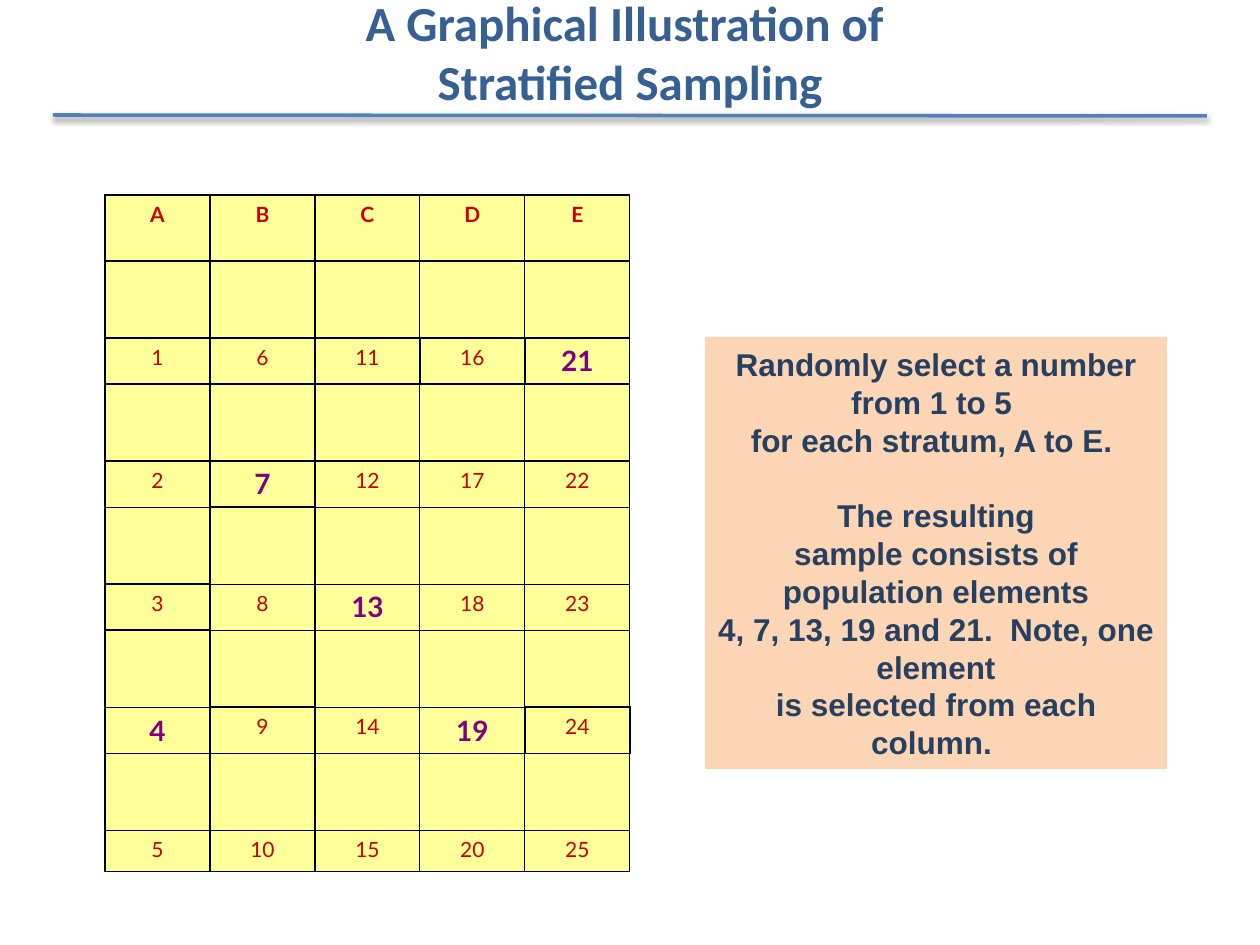
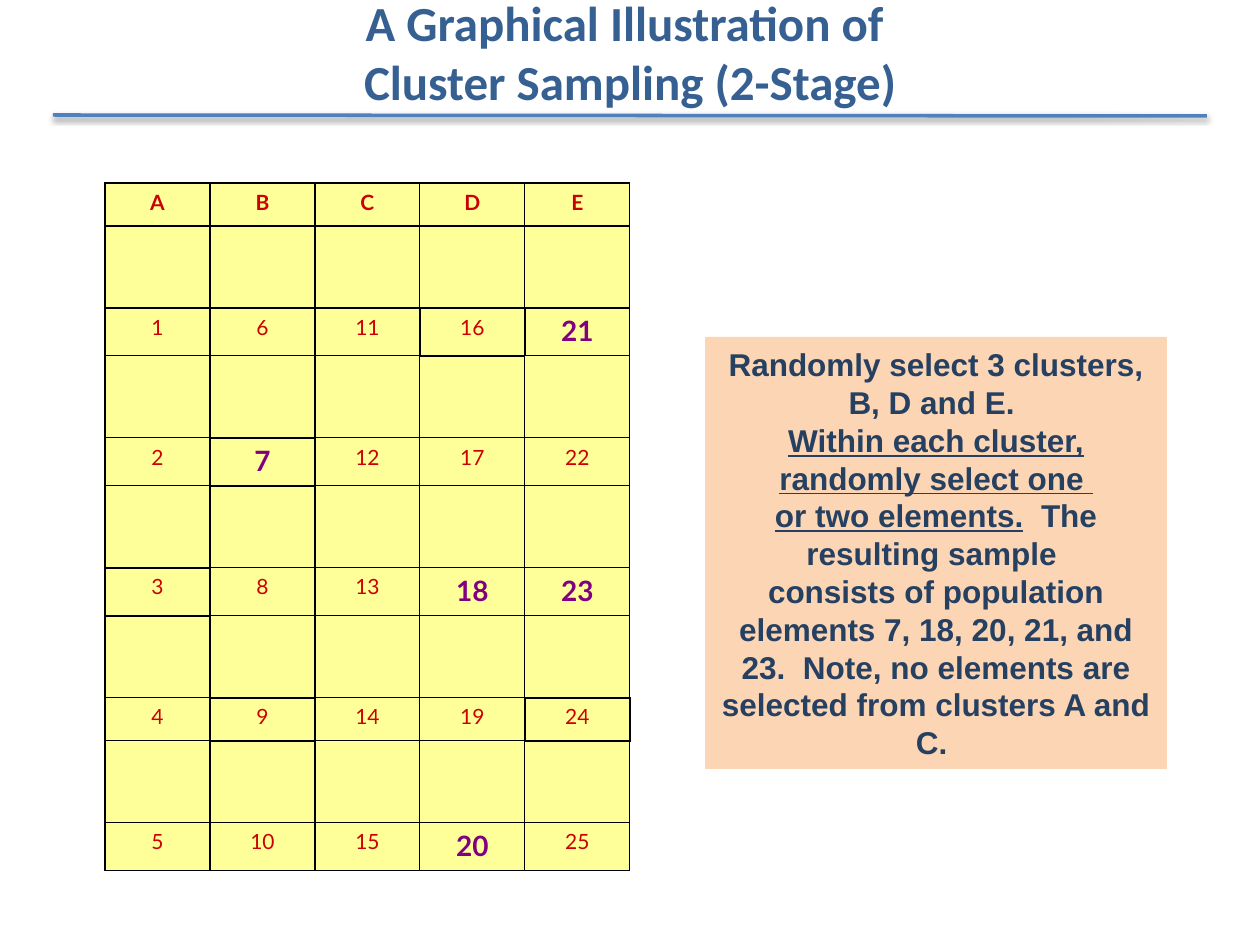
"""Builds two slides that illustrate stratified and cluster sampling."""
from lxml import etree
from pptx import Presentation
from pptx import util as u
from pptx.dml.color import RGBColor
from pptx.enum import shapes, text
from pptx.oxml import parse_xml
from pptx.oxml.ns import nsdecls, qn

PX = 914400 / 126
TITLE_BLUE = RGBColor(0x37, 0x60, 0x92)
RULE_BLUE = RGBColor(0x4F, 0x81, 0xBD)
CELL_YELLOW = RGBColor(0xFF, 0xFF, 0x99)
NUMBER_RED = RGBColor(0xCC, 0x00, 0x00)
PICK_PURPLE = RGBColor(0x80, 0x00, 0x80)
NOTE_PEACH = RGBColor(0xFC, 0xD5, 0xB5)
NOTE_NAVY = RGBColor(0x25, 0x40, 0x61)

GROUPS = "ABCDE"
GROUP_SIZE = 5
COLUMN = 105
BOXED = {3, 7, 9, 16, 24}
SIDES = {"lnL": (0, -1), "lnR": (0, 1), "lnT": (-1, 0), "lnB": (1, 0)}
TITLE_BOX = (93, -21, 1074, 144)
NOTE_BOX = (705, 337, 462, 432)
RULE = (53, 115, 1207, 116)
BLANK_LINE = u.Pt(21.7)

SLIDES = [
    {
        "title": ("A Graphical Illustration of ", "Stratified Sampling"),
        "top": 195,
        "rows": [66] + [77, 46] * 4 + [77, 41],
        "picks": {4, 7, 13, 19, 21},
        "note": [
            [("Randomly select a number from 1 to 5 ", False)],
            [("for each stratum, A to E. ", False)],
            [("The resulting", False)],
            [("sample consists of population elements", False)],
            [("4, 7, 13, 19 and 21.  Note, one element", False)],
            [("is selected from each column. ", False)],
        ],
        "gap_before": 2,
    },
    {
        "title": ("A Graphical Illustration of ", "Cluster Sampling (2-Stage)"),
        "top": 183,
        "rows": [43] + [82, 48] * 3 + [82, 43, 82, 48],
        "picks": {7, 18, 20, 21, 23},
        "note": [
            [("Randomly select 3 clusters, B, D and E. ", False)],
            [("Within each cluster, randomly select one ", True)],
            [("or two elements.", True), ("  The resulting sample ", False)],
            [("consists of population elements 7, 18, 20, 21, and 23.  Note, "
              "no elements are selected from clusters A and C. ", False)],
        ],
        "gap_before": None,
    },
]


def px(*lengths):
    return [u.Emu(round(n * PX)) for n in lengths]


def add_run(p, words, font, size, color, bold=True, underline=None):
    r = p.add_run()
    r.text = words
    r.font.name, r.font.size = font, u.Pt(size)
    r.font.bold, r.font.underline = bold, underline
    r.font.color.rgb = color


def set_title(s, lines):
    sp = s.shapes.title
    sp.left, sp.top, sp.width, sp.height = px(*TITLE_BOX)
    tf = sp.text_frame
    tf.word_wrap = True
    tf.vertical_anchor = text.MSO_ANCHOR.MIDDLE
    p = tf.paragraphs[0]
    p.alignment = text.PP_ALIGN.CENTER
    for i, line in enumerate(lines):
        if i:
            p.add_line_break()
        add_run(p, line, "Calibri", 28, TITLE_BLUE)


def add_rule(s):
    line = s.shapes.add_connector(shapes.MSO_CONNECTOR.STRAIGHT, *px(*RULE))
    line.line.color.rgb = RULE_BLUE
    line.line.width = u.Pt(2)
    effects = etree.SubElement(line.element.spPr, qn("a:effectLst"))
    effects.append(parse_xml(
        f'<a:outerShdw {nsdecls("a")} blurRad="39370" dist="20320" dir="5400000"'
        ' rotWithShape="0"><a:srgbClr val="000000"><a:alpha val="38000"/>'
        '</a:srgbClr></a:outerShdw>'))


def number_at(row, col):
    if row < 2 or row % 2 or col not in range(len(GROUPS)):
        return None
    return col * GROUP_SIZE + row // 2


def set_borders(cell, row, col):
    tc_pr = cell._tc.get_or_add_tcPr()
    for side, (down, right) in SIDES.items():
        touching = {number_at(row, col), number_at(row + down, col + right)}
        width = u.Pt(1 if touching & BOXED else 0.75)
        tc_pr.append(parse_xml(
            f'<a:{side} {nsdecls("a")} w="{width}"><a:solidFill>'
            f'<a:srgbClr val="000000"/></a:solidFill></a:{side}>'))


def add_population(s, top, rows, picks):
    frame = s.shapes.add_table(len(rows), len(GROUPS), *px(
        COLUMN, top, COLUMN * len(GROUPS), sum(rows)))
    table = frame.table
    for column in table.columns:
        column.width = px(COLUMN)[0]
    for row, height in enumerate(rows):
        table.rows[row].height = px(height)[0]
        for col, group in enumerate(GROUPS):
            cell = table.cell(row, col)
            set_borders(cell, row, col)
            cell.fill.solid()
            cell.fill.fore_color.rgb = CELL_YELLOW
            number = number_at(row, col)
            p = cell.text_frame.paragraphs[0]
            p.alignment = text.PP_ALIGN.CENTER
            if row == 0:
                add_run(p, group, "Lato", 12, NUMBER_RED)
            elif number in picks:
                add_run(p, str(number), "Lato", 16, PICK_PURPLE)
            elif number:
                add_run(p, str(number), "Lato", 12, NUMBER_RED, bold=False)


def add_note(s, paragraphs, gap_before):
    sp = s.shapes.add_shape(shapes.MSO_SHAPE.RECTANGLE, *px(*NOTE_BOX))
    sp.shadow.inherit = False
    sp.fill.solid()
    sp.fill.fore_color.rgb = NOTE_PEACH
    sp.line.fill.background()
    tf = sp.text_frame
    tf.word_wrap = True
    tf.auto_size = text.MSO_AUTO_SIZE.SHAPE_TO_FIT_TEXT
    tf.vertical_anchor = text.MSO_ANCHOR.MIDDLE
    for i, runs in enumerate(paragraphs):
        p = tf.add_paragraph() if i else tf.paragraphs[0]
        p.alignment = text.PP_ALIGN.CENTER
        if i == gap_before:
            p.space_before = BLANK_LINE
        for words, underline in runs:
            add_run(p, words, "Arial", 18, NOTE_NAVY, underline=underline)


def main():
    prs = Presentation()
    prs.slide_width, prs.slide_height = u.Inches(10), u.Inches(7.5)
    for content in SLIDES:
        s = prs.slides.add_slide(prs.slide_layouts[5])
        add_rule(s)
        set_title(s, content["title"])
        add_population(s, content["top"], content["rows"], content["picks"])
        add_note(s, content["note"], content["gap_before"])
    prs.save("out.pptx")


if __name__ == "__main__":
    main()
